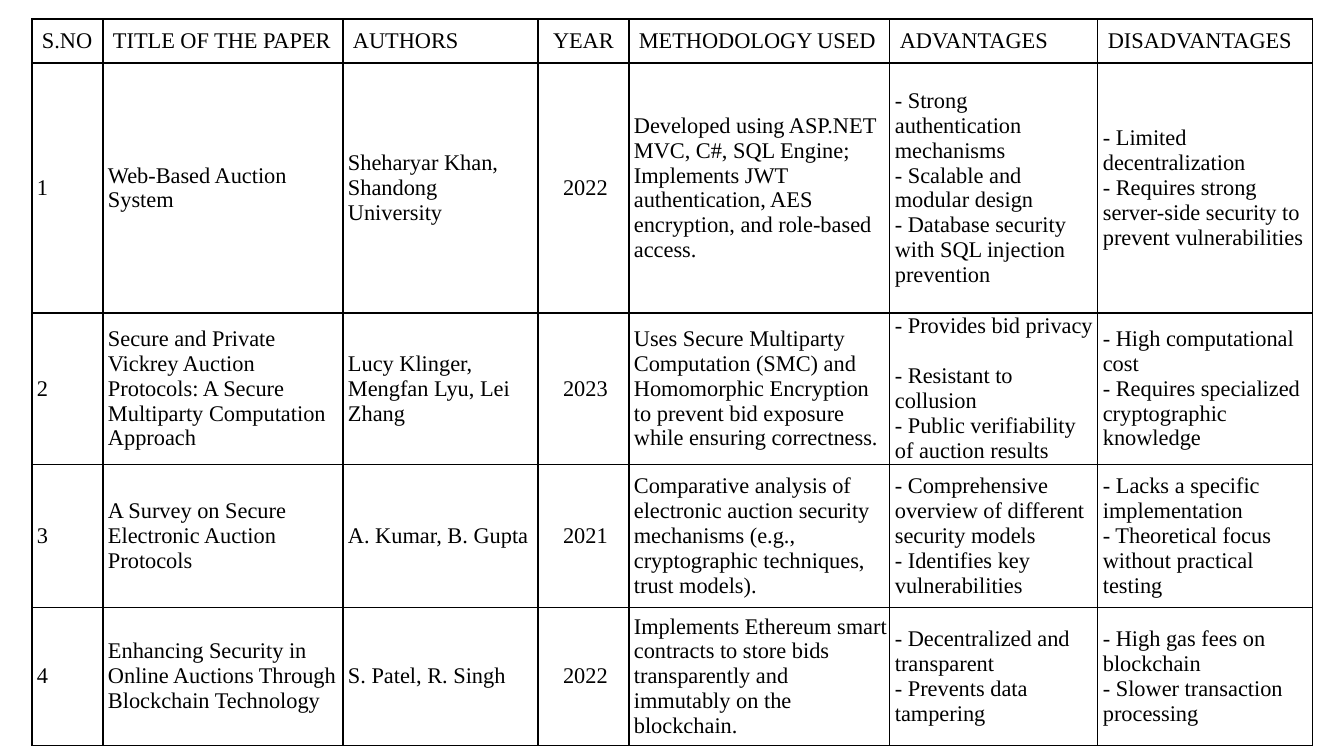
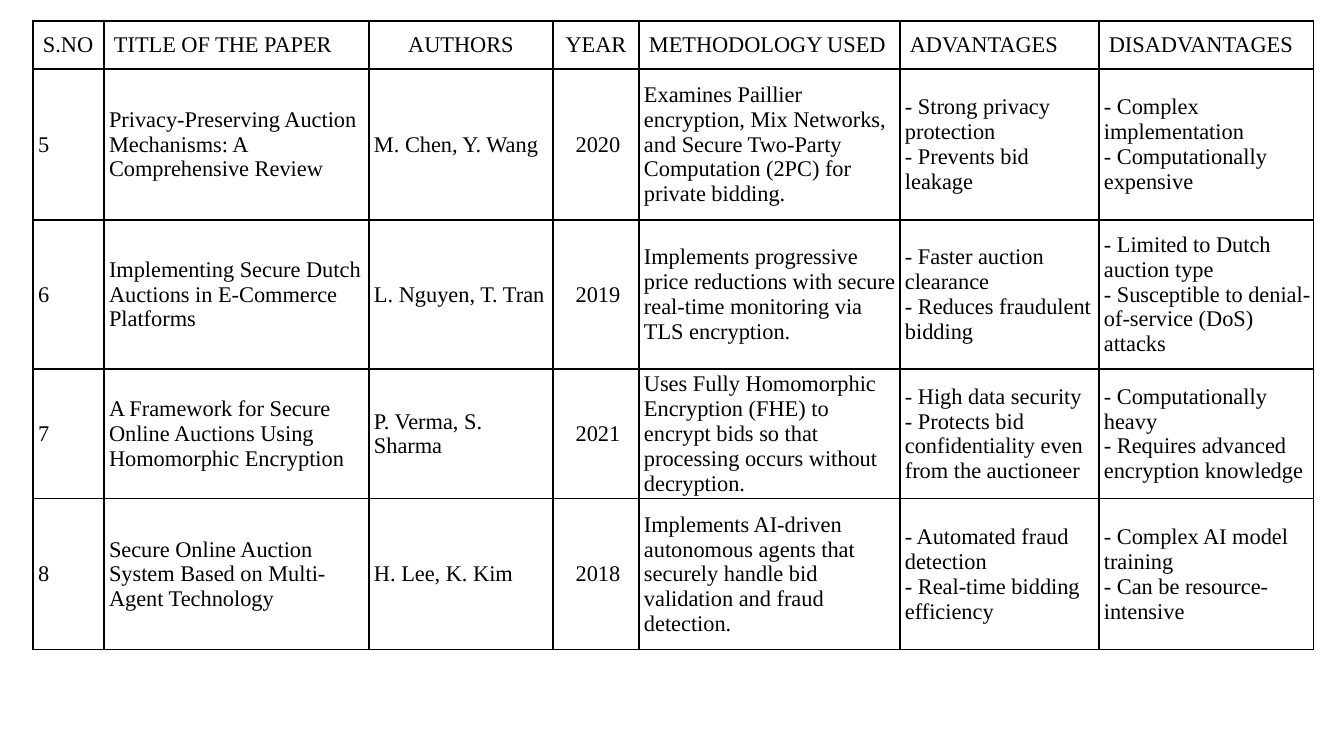
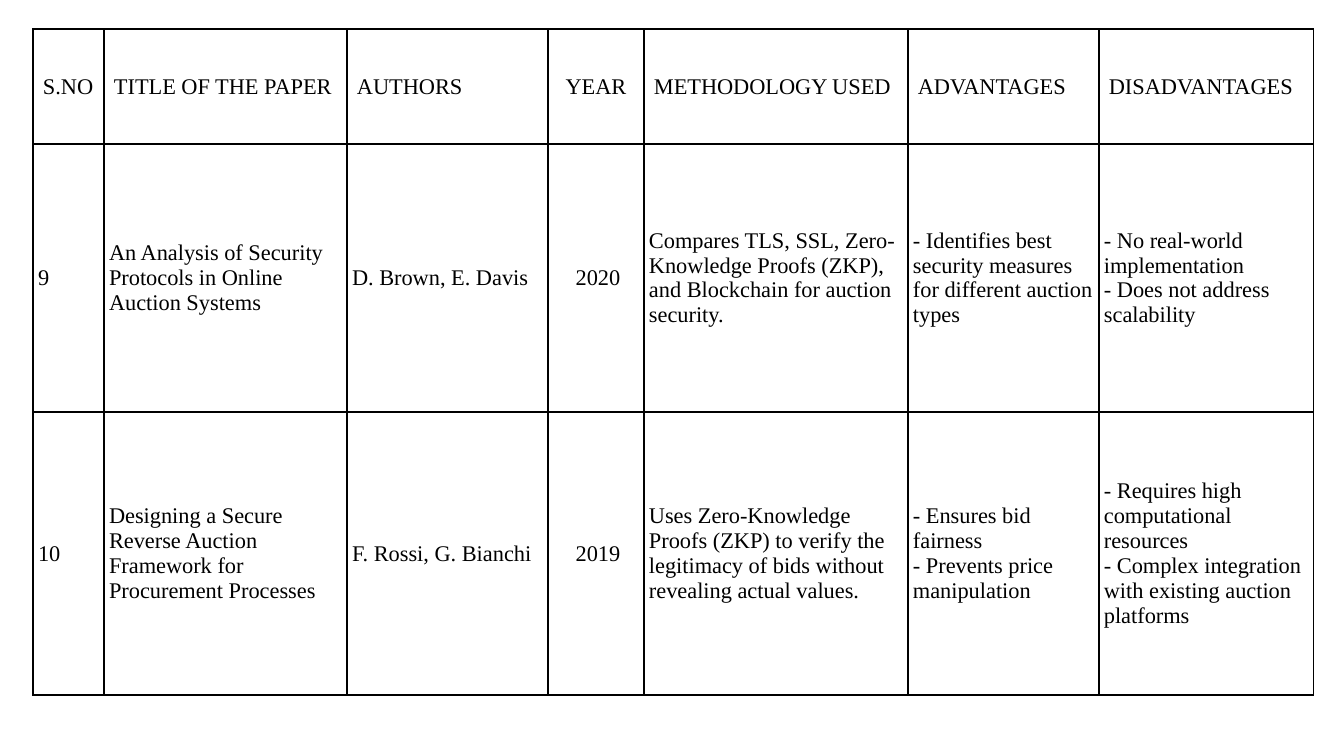
from copy import deepcopy

from lxml import etree
from pptx import Presentation
from pptx.dml.color import RGBColor
from pptx.enum.text import MSO_ANCHOR, PP_ALIGN
from pptx.oxml.ns import qn
from pptx.util import Pt

PX = 914400 / 100.8
BLACK = RGBColor(0, 0, 0)
LEFT = PP_ALIGN.LEFT
CENTER = PP_ALIGN.CENTER
MIDDLE = MSO_ANCHOR.MIDDLE
FONT = {"name": "Times New Roman", "size": Pt(16)}
BORDER_WIDTH = Pt(1)
YEAR_COLUMN = 3
HEADINGS = ["S.NO", "TITLE OF THE PAPER", "AUTHORS", "YEAR",
            "METHODOLOGY USED", "ADVANTAGES", "DISADVANTAGES"]


def px(length):
    return round(length * PX)


HEADER_MARGINS = {"margin_left": px(10), "margin_right": px(10),
                  "margin_top": px(5), "margin_bottom": px(5)}
BODY_MARGINS = dict.fromkeys(HEADER_MARGINS, px(1))
BODY_INDENT = px(4)


def add_borders(cell):
    properties = cell._tc.get_or_add_tcPr()
    for side in ("lnL", "lnR", "lnT", "lnB"):
        line = etree.SubElement(properties, qn(f"a:{side}"), w=str(BORDER_WIDTH))
        fill = etree.SubElement(line, qn("a:solidFill"))
        etree.SubElement(fill, qn("a:srgbClr"), val=str(BLACK))


surveys = [
    {
        "origin": (32, 19),
        "columns": [71, 240, 195, 91, 261, 208, 215],
        "rows": [44, 250, 143, 143, 138],
        "centered_headings": {"YEAR"},
        "papers": [
            ["1", "Web-Based Auction System",
             "Sheharyar Khan,\nShandong University", "2022",
             "Developed using ASP.NET MVC, C#, SQL Engine; Implements JWT "
             "authentication, AES encryption, and role-based access.",
             ["Strong authentication mechanisms", "Scalable and modular design",
              "Database security with SQL injection prevention"],
             ["Limited decentralization",
              "Requires strong server-side security to prevent vulnerabilities"]],
            ["2", "Secure and Private Vickrey Auction Protocols: "
             "A Secure Multiparty Computation Approach",
             "Lucy Klinger, Mengfan Lyu, Lei Zhang", "2023",
             "Uses Secure Multiparty Computation (SMC) and Homomorphic Encryption "
             "to prevent bid exposure while ensuring correctness.",
             ["Provides bid privacy", "Resistant to collusion",
              "Public verifiability of auction results"],
             ["High computational cost",
              "Requires specialized cryptographic knowledge"]],
            ["3", "A Survey on Secure Electronic Auction Protocols",
             "A. Kumar, B. Gupta", "2021",
             "Comparative analysis of electronic auction security mechanisms "
             "(e.g., cryptographic techniques, trust models).",
             ["Comprehensive overview of different security models",
              "Identifies key vulnerabilities"],
             ["Lacks a specific implementation",
              "Theoretical focus without practical testing"]],
            ["4", "Enhancing Security in Online Auctions Through Blockchain Technology",
             "S. Patel, R. Singh", "2022",
             "Implements Ethereum smart contracts to store bids transparently "
             "and immutably on the blockchain.",
             ["Decentralized and transparent", "Prevents data tampering"],
             ["High gas fees on blockchain", "Slower transaction processing"]],
        ],
    },
    {
        "origin": (33, 21),
        "columns": [71, 265, 184, 86, 261, 199, 215],
        "rows": [48, 151, 149, 130, 151],
        "centered_headings": {"AUTHORS", "YEAR"},
        "papers": [
            ["5", "Privacy-Preserving Auction Mechanisms: A Comprehensive Review",
             "M. Chen, Y. Wang", "2020",
             "Examines Paillier encryption, Mix Networks, and Secure Two-Party "
             "Computation (2PC) for private bidding.",
             ["Strong privacy protection", "Prevents bid leakage"],
             ["Complex implementation", "Computationally expensive"]],
            ["6", "Implementing Secure Dutch Auctions in E-Commerce Platforms",
             "L. Nguyen, T. Tran", "2019",
             "Implements progressive price reductions with secure real-time "
             "monitoring via TLS encryption.",
             ["Faster auction clearance", "Reduces fraudulent bidding"],
             ["Limited to Dutch auction type",
              "Susceptible to denial-of-service (DoS) attacks"]],
            ["7", "A Framework for Secure Online Auctions Using Homomorphic Encryption",
             "P. Verma, S. Sharma", "2021",
             "Uses Fully Homomorphic Encryption (FHE) to encrypt bids so that "
             "processing occurs without decryption.",
             ["High data security",
              "Protects bid confidentiality even from the auctioneer"],
             ["Computationally heavy", "Requires advanced encryption knowledge"]],
            ["8", "Secure Online Auction System Based on Multi-Agent Technology",
             "H. Lee, K. Kim", "2018",
             "Implements AI-driven autonomous agents that securely handle bid "
             "validation and fraud detection.",
             ["Automated fraud detection", "Real-time bidding efficiency"],
             ["Complex AI model training", "Can be resource-intensive"]],
        ],
    },
    {
        "origin": (33, 29),
        "columns": [71, 243, 201, 96, 264, 191, 215],
        "rows": [115, 268, 283],
        "centered_headings": {"YEAR"},
        "papers": [
            ["9", "An Analysis of Security Protocols in Online Auction Systems",
             "D. Brown, E. Davis", "2020",
             "Compares TLS, SSL, Zero-Knowledge Proofs (ZKP), and Blockchain "
             "for auction security.",
             ["Identifies best security measures for different auction types"],
             ["No real-world implementation", "Does not address scalability"]],
            ["10", "Designing a Secure Reverse Auction Framework for Procurement Processes",
             "F. Rossi, G. Bianchi", "2019",
             "Uses Zero-Knowledge Proofs (ZKP) to verify the legitimacy of bids "
             "without revealing actual values.",
             ["Ensures bid fairness", "Prevents price manipulation"],
             ["Requires high computational resources",
              "Complex integration with existing auction platforms"]],
        ],
    },
]

presentation = Presentation()
presentation.slide_width = px(1344)
presentation.slide_height = px(756)
blank_layout = presentation.slide_layouts[6]

for survey in surveys:
    slide = presentation.slides.add_slide(blank_layout)
    columns, rows = survey["columns"], survey["rows"]
    left, top = survey["origin"]
    table = slide.shapes.add_table(
        len(rows), len(columns), px(left), px(top), px(sum(columns)), px(sum(rows))
    ).table
    table.first_row = table.horz_banding = False
    for column, width in zip(table.columns, columns):
        column.width = px(width)
    for row, height in zip(table.rows, rows):
        row.height = px(height)

    for row_index, entries in enumerate([HEADINGS] + survey["papers"]):
        is_header = row_index == 0
        for column_index, entry in enumerate(entries):
            cell = table.cell(row_index, column_index)
            add_borders(cell)
            cell.fill.background()
            cell.vertical_anchor = MIDDLE
            margins = HEADER_MARGINS if is_header else BODY_MARGINS
            for name, value in margins.items():
                setattr(cell, name, value)
            if isinstance(entry, list):
                entry = " \v".join(f"- {point}" for point in entry)
            cell.text_frame.text = entry
            if is_header:
                centered = entry in survey["centered_headings"]
            else:
                centered = column_index == YEAR_COLUMN
            for paragraph in cell.text_frame.paragraphs:
                paragraph.alignment = CENTER if centered else LEFT
                if not is_header:
                    paragraph._p.get_or_add_pPr().set("marL", str(BODY_INDENT))
                for run in paragraph.runs:
                    for name, value in FONT.items():
                        setattr(run.font, name, value)
                    run.font.color.rgb = BLACK
                for line_break in paragraph._p.findall(qn("a:br")):
                    line_break.append(deepcopy(paragraph.runs[0]._r.rPr))

presentation.save("out.pptx")
